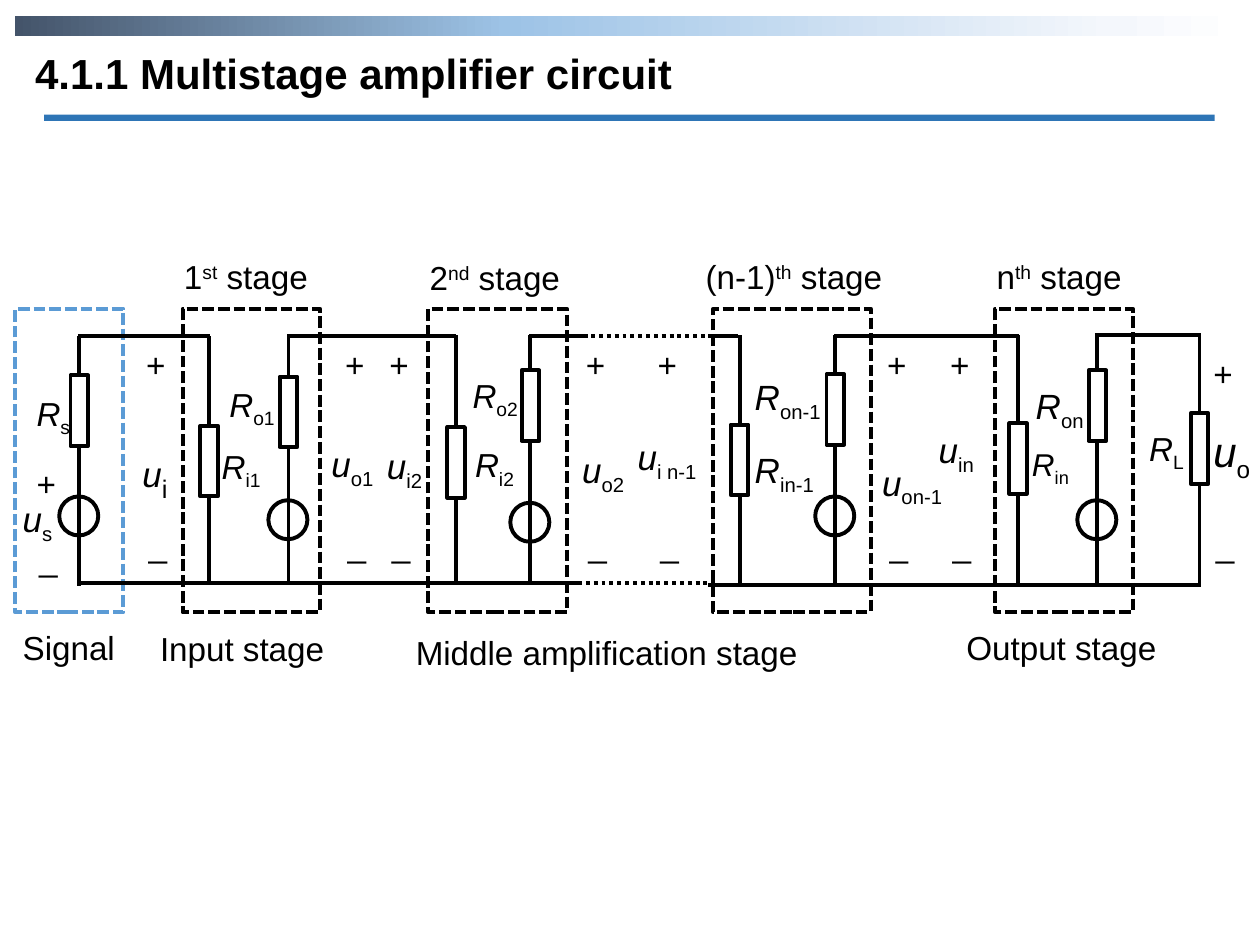
"""Build the multistage amplifier circuit slide."""
from lxml import etree
from pptx import Presentation
from pptx import util as u
from pptx.dml.color import RGBColor
from pptx.enum import dml, shapes, text
from pptx.oxml.ns import qn

COLORS = {"ink": "000000", "signal": "5B9BD5", "rule": "2E75B6"}
BANNER = [(0, "44546A"), (40, "9DC3E6"), (89, "F4F7FC"), (100, "FFFFFF")]
DASH = dml.MSO_LINE.SQUARE_DOT
DOT = dml.MSO_LINE.ROUND_DOT
RECT = shapes.MSO_SHAPE.RECTANGLE
SUB, SUPER = -25, 30


def inch(value):
    """Return a length in inches, expressed through centimetres."""
    return u.Cm(value * 2.54)


class Circuit:
    """Style and current slide of a circuit drawing."""

    font, width = "Arial", 2.25

    def __init__(self, slide):
        self.s = slide

    def stroke(self, line, color="ink", dash=None):
        """Apply the common line style."""
        line.color.rgb = RGBColor.from_string(COLORS[color])
        line.width = u.Pt(self.width)
        if dash:
            line.dash_style = dash

    def outline(self, box, kind=RECT, color="ink", dash=None):
        """Draw an unfilled shape."""
        sp = self.s.shapes.add_shape(kind, *map(inch, box))
        sp.shadow.inherit = False
        sp.fill.background()
        self.stroke(sp.line, color, dash)

    def bar(self, box, color=None, stops=()):
        """Draw a borderless bar, plain or graded."""
        sp = self.s.shapes.add_shape(RECT, *map(inch, box))
        sp.shadow.inherit = False
        sp.line.fill.background()
        if color:
            sp.fill.solid()
            sp.fill.fore_color.rgb = RGBColor.from_string(COLORS[color])
            return
        sp.fill.gradient()
        sp.fill.gradient_angle = 0
        gs_list = sp._element.spPr.find(qn("a:gradFill")).find(qn("a:gsLst"))
        for gs in list(gs_list):
            gs_list.remove(gs)
        for pos, value in stops:
            gs = etree.SubElement(gs_list, qn("a:gs"), pos=str(pos * 1000))
            etree.SubElement(gs, qn("a:srgbClr"), val=value)

    def wire(self, x1, y1, x2, y2, dash=None):
        """Draw a straight wire."""
        cx = self.s.shapes.add_connector(
            shapes.MSO_CONNECTOR.STRAIGHT, *map(inch, (x1, y1, x2, y2)))
        self.stroke(cx.line, dash=dash)
        etree.SubElement(cx._element.spPr, qn("a:effectLst"))

    def branch(self, x, top, resistor, bottom, source=None):
        """Draw a vertical branch with a resistor and an optional source."""
        self.wire(x, top, x, resistor)
        self.outline((x - 0.07, resistor, 0.14, 0.56))
        self.wire(x, resistor + 0.56, x, bottom)
        if source:
            self.outline((x - 0.16, source, 0.31, 0.31), shapes.MSO_SHAPE.OVAL)

    def label(self, box, parts, size=19, wrap=False, margin=(0, 0), bold=None):
        """Write runs given as (text, baseline, italic, size)."""
        sp = self.s.shapes.add_textbox(*map(inch, box))
        tf = sp.text_frame
        tf.word_wrap = wrap
        tf.auto_size = text.MSO_AUTO_SIZE.SHAPE_TO_FIT_TEXT
        tf.margin_left = tf.margin_right = inch(margin[0])
        tf.margin_top = tf.margin_bottom = inch(margin[1])
        p = tf.paragraphs[0]
        for words, base, italic, own_size in parts:
            r = p.add_run()
            r.text = words
            r.font.name = self.font
            r.font.size = u.Pt(own_size or size)
            r.font.bold = bold
            r.font.italic = italic
            r.font.color.rgb = RGBColor.from_string(COLORS["ink"])
            if base:
                r.font._element.set("baseline", str(base * 1000))

    def plain(self, box, words, size=19, **style):
        """Write a single upright run."""
        self.label(box, [(words, 0, False, None)], size, **style)

    def symbol(self, x, y, w, name, sub, size=19, sub_size=None):
        """Write an italic quantity with its subscript."""
        self.label((x, y, w, size / 60),
                   [(name, 0, True, None), (sub, SUB, False, sub_size)], size)

    def stage(self, x, y, w, number, ending):
        """Write an ordinal stage heading."""
        self.label((x, y, w, 0.32),
                   [(number, 0, False, None), (ending, SUPER, False, None),
                    (" stage", 0, False, None)], wrap=True)

    def polarity(self, x, plus=2.73, minus=4.16):
        """Write the plus and minus marks of a voltage."""
        self.plain((x, plus, 0.16, 0.32), "+")
        self.plain((x + 0.02, minus, 0.11, 0.32), "_")


def main():
    """Draw the slide and save it."""
    prs = Presentation()
    prs.slide_width, prs.slide_height = inch(10), inch(7.5)
    c = Circuit(prs.slides.add_slide(prs.slide_layouts[6]))

    c.bar((0.12, 0.13, 9.76, 0.16), stops=BANNER)
    c.plain((0.18, 0.33, 5.9, 0.5), "4.1.1 Multistage amplifier circuit", 24,
            wrap=True, margin=(0.1, 0.05), bold=True)
    c.bar((0.35, 0.91, 9.29, 0.05), "rule")

    c.outline((0.12, 2.45, 0.86, 2.41), color="signal", dash=DASH)
    for x, w in [(1.45, 1.09), (3.4, 1.1), (5.66, 1.25), (7.9, 1.09)]:
        c.outline((x, 2.45, w, 2.41), dash=DASH)

    for x1, x2, y in [(0.62, 1.67, 2.67), (2.28, 3.62, 2.67),
                      (4.2, 4.67, 2.67), (5.62, 5.86, 2.67),
                      (6.62, 8.09, 2.67), (8.69, 9.53, 2.66),
                      (0.62, 4.62, 4.63), (5.62, 9.53, 4.64)]:
        c.wire(x1, y, x2, y)
    c.wire(4.63, 2.67, 5.66, 2.67, DOT)
    c.wire(4.65, 4.63, 5.68, 4.63, DOT)

    for spec_row in [(0.63, 2.67, 2.98, 4.65, 3.94), (1.66, 2.67, 3.38, 4.62),
                     (2.29, 2.66, 2.99, 4.64, 3.97), (3.62, 2.66, 3.39, 4.64),
                     (4.21, 2.66, 2.94, 4.62, 3.99), (5.87, 2.66, 3.37, 4.65),
                     (6.63, 2.66, 2.97, 4.63, 3.94), (8.08, 2.66, 3.36, 4.64),
                     (8.71, 2.65, 2.94, 4.63, 3.97), (9.52, 2.65, 3.28, 4.65)]:
        c.branch(*spec_row)

    for x in (1.16, 2.74, 3.09, 4.65, 5.22, 7.04, 7.54):
        c.polarity(x)
    c.polarity(0.29, 3.68, 4.27)
    c.polarity(9.63, 2.8)

    for symbol in [(0.29, 3.12, 0.33, "R", "s"), (1.82, 3.05, 0.49, "R", "o1"),
                   (1.76, 3.54, 0.42, "R", "i1"), (3.75, 2.98, 0.49, "R", "o2"),
                   (3.77, 3.53, 0.42, "R", "i2"),
                   (5.99, 2.98, 0.74, "R", "on-1", 20),
                   (5.99, 3.56, 0.67, "R", "in-1", 20),
                   (8.22, 3.05, 0.5, "R", "on", 20),
                   (8.19, 3.53, 0.39, "R", "in", 18),
                   (9.12, 3.4, 0.35, "R", "L"),
                   (0.18, 3.95, 0.33, "u", "s", 20),
                   (1.13, 3.52, 0.31, "u", "i", 20, 25),
                   (2.63, 3.51, 0.49, "u", "o1", 20),
                   (3.07, 3.53, 0.42, "u", "i2", 20),
                   (4.62, 3.56, 0.49, "u", "o2", 20),
                   (5.06, 3.46, 0.71, "u", "i n-1", 20),
                   (7, 3.66, 0.72, "u", "on-1", 20),
                   (7.45, 3.4, 0.42, "u", "in", 20),
                   (9.63, 3.38, 0.43, "u", "o", 24)]:
        c.symbol(*symbol)

    for heading in [(1.46, 2.03, 1.25, "1", "st"), (3.41, 2.04, 1.31, "2", "nd"),
                    (5.6, 2.03, 1.75, "(n-1)", "th"),
                    (7.91, 2.03, 1.29, "n", "th")]:
        c.stage(*heading)
    for x, y, w, words in [(0.18, 4.98, 0.92, "Signal"),
                           (1.27, 4.99, 1.55, "Input stage"),
                           (3.3, 5.02, 3.74, "Middle amplification stage"),
                           (7.67, 4.98, 1.77, "Output stage")]:
        c.plain((x, y, w, 0.32), words, wrap=True)

    prs.save("out.pptx")


if __name__ == "__main__":
    main()
